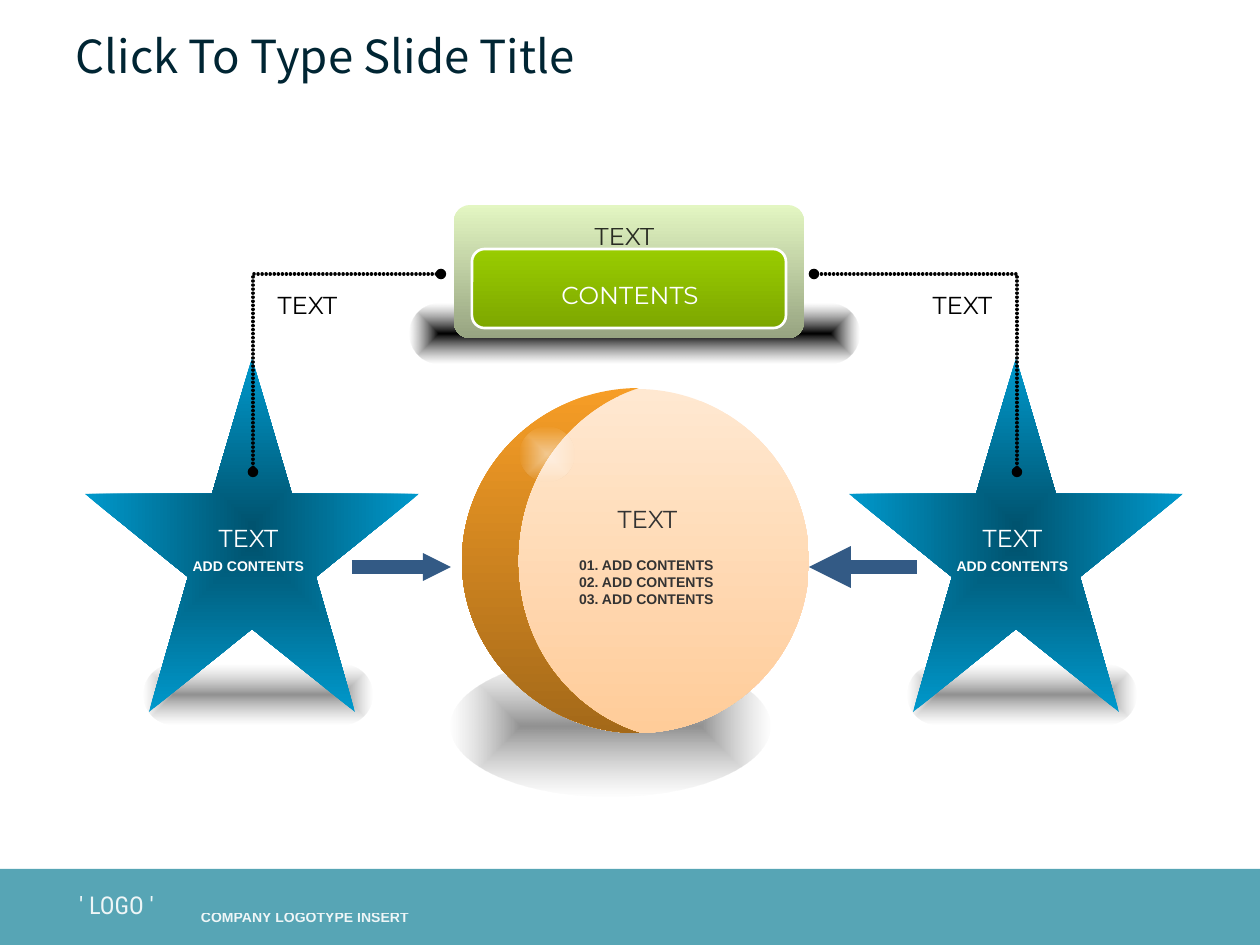
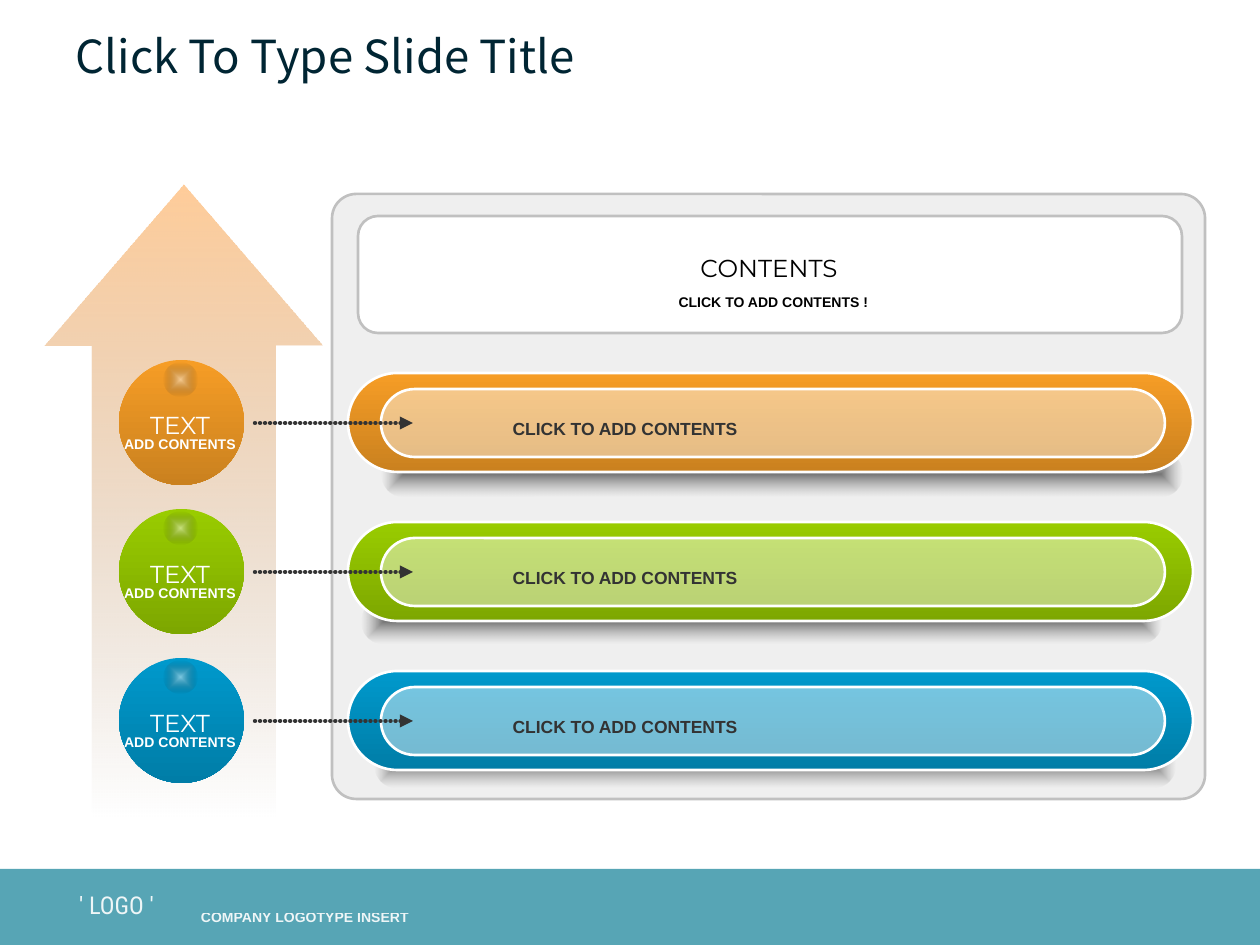
from dataclasses import dataclass

from lxml.etree import SubElement
from pptx import Presentation
from pptx.dml.color import RGBColor
from pptx.enum.shapes import MSO_CONNECTOR, MSO_SHAPE as Shape
from pptx.enum.text import MSO_ANCHOR as Anchor, PP_ALIGN as Align
from pptx.oxml import parse_xml
from pptx.oxml.ns import nsdecls, qn
from pptx.util import Emu, Pt

PX_PER_INCH = 126


def px(length):
    return Emu(round(length * 914400 / PX_PER_INCH))


@dataclass(frozen=True)
class Type:
    font: str
    size: int
    bold: bool = False


@dataclass(frozen=True)
class Theme:
    # Colours
    white: str = "FFFFFF"
    black: str = "000000"
    ink: str = "333333"
    title_ink: str = "002533"
    footer: str = "57A5B5"
    arrow: str = "335A85"
    silver: str = "C0C0C0"
    # Gradient pairs
    orange: tuple = ("F69D26", "CA811F")
    green: tuple = ("99CC00", "7DA700")
    blue: tuple = ("0099CC", "007DA7")
    pale_green: tuple = ("E3F6C2", "97A481")
    peach: tuple = ("FFE8D1", "FFCC99")
    crescent: tuple = ("F69D26", "A46919")
    star: tuple = ("00536F", "0099CC")
    rising: tuple = ("FF9933", "764718")
    shade: tuple = ("000000", "6C6C6C")
    # Type
    title: Type = Type("Noto Sans CJK KR", 26)
    logo: Type = Type("Roboto Condensed", 14)
    heading: Type = Type("Montserrat", 14)
    bar: Type = Type("Arial", 10, True)
    small: Type = Type("Arial", 8, True)


def colour_xml(colour, alpha=100):
    return f'<a:srgbClr val="{colour}"><a:alpha val="{alpha * 1000}"/></a:srgbClr>'


def solid(colour, alpha=100):
    return f'<a:solidFill {nsdecls("a")}>{colour_xml(colour, alpha)}</a:solidFill>'


def gradient(colours, alphas=(100, 100), from_centre=False):
    stops = "".join(
        f'<a:gs pos="{place}">{colour_xml(colour, alpha)}</a:gs>'
        for place, colour, alpha in zip((0, 100000), colours, alphas))
    if from_centre:
        course = ('<a:path path="rect"><a:fillToRect l="50000" t="50000" '
                  'r="50000" b="50000"/></a:path>')
    else:
        course = '<a:lin ang="5400000" scaled="0"/>'
    return (f'<a:gradFill {nsdecls("a")} rotWithShape="1">'
            f'<a:gsLst>{stops}</a:gsLst>{course}</a:gradFill>')


def bend(shape):
    """Turn each three straight segments of an outline into one cubic curve."""
    lines = list(shape._element.iter(qn("a:lnTo")))
    for first in range(0, len(lines), 3):
        trio = lines[first:first + 3]
        curve = parse_xml(f'<a:cubicBezTo {nsdecls("a")}/>')
        trio[0].addprevious(curve)
        for line in trio:
            curve.append(line[0])
            line.getparent().remove(line)


class Painter:
    def __init__(self, deck, theme):
        self.deck = deck
        self.theme = theme
        self.page = None

    # Page frame: title, footer band and footer words
    def new_page(self, title):
        theme = self.theme
        self.page = self.deck.slides.add_slide(self.deck.slide_layouts[6])
        self.shape(Shape.RECTANGLE, (0, 869, 1260, 76), solid(theme.footer))
        self.text("' LOGO '", (45, 884, 143, 35), theme.logo, theme.white, alpha=90)
        self.text("COMPANY LOGOTYPE INSERT", (189, 907, 232, 20),
                  theme.small, theme.white, alpha=90, pad=2)
        box = self.text(title, (63, 26, 1134, 58), theme.title, theme.title_ink,
                        side=13, align=Align.LEFT)
        box.text_frame.word_wrap = True
        box.text_frame.vertical_anchor = Anchor.MIDDLE

    def finish(self, shape, fill, line=None):
        shape.shadow.inherit = False
        shape.fill.background()
        if fill:
            props = shape._element.spPr
            props.replace(props.find(qn("a:noFill")), parse_xml(fill))
        if line:
            shape.line.color.rgb = RGBColor.from_string(line)
            shape.line.width = Pt(1.5)
        else:
            shape.line.fill.background()
        return shape

    def shape(self, kind, at, fill, line=None, adjust=()):
        shape = self.page.shapes.add_shape(kind, *map(px, at))
        for index, value in enumerate(adjust):
            shape.adjustments[index] = value
        return self.finish(shape, fill, line)

    def rounded(self, at, fill, line=None, corner=0.5):
        return self.shape(Shape.ROUNDED_RECTANGLE, at, fill, line, (corner,))

    def glow(self, kind, at, colours, alpha):
        fill = gradient(colours, (alpha, 0), from_centre=True)
        adjust = (0.5,) if kind == Shape.ROUNDED_RECTANGLE else ()
        return self.shape(kind, at, fill, adjust=adjust)

    def outline(self, points, fill=None, close=True):
        start, *rest = [(px(x), px(y)) for x, y in points]
        builder = self.page.shapes.build_freeform(*start)
        builder.add_line_segments(rest, close=close)
        return self.finish(builder.convert_to_shape(), fill)

    def stroke(self, shape, colour, width, dotted=False, head=None, tail=None, size="med"):
        shape.line.color.rgb = RGBColor.from_string(colour)
        shape.line.width = Pt(width)
        props = shape._element.spPr
        pen = props.find(qn("a:ln"))
        if dotted:
            pen.set("cap", "rnd")
            dash = SubElement(pen, qn("a:custDash"))
            SubElement(dash, qn("a:ds"), d="100000", sp="15000")
        for tag, end in (("a:headEnd", head), ("a:tailEnd", tail)):
            if end:
                SubElement(pen, qn(tag), type=end, w=size, len=size)
        if props.find(qn("a:effectLst")) is None:
            SubElement(props, qn("a:effectLst"))

    def arrow(self, x1, x2, y, colour, width, **ends):
        line = self.page.shapes.add_connector(
            MSO_CONNECTOR.STRAIGHT, px(x1), px(y), px(x2), px(y))
        self.stroke(line, colour, width, tail="triangle", **ends)

    def elbow(self, points):
        line = self.outline(points, close=False)
        self.stroke(line, self.theme.black, 2, dotted=True, head="oval", tail="oval")

    def text(self, words, at, style, colour, alpha=100, pad=6, side=0, align=Align.CENTER):
        box = self.page.shapes.add_textbox(*map(px, at))
        frame = box.text_frame
        frame.word_wrap = False
        frame.margin_top = frame.margin_bottom = px(pad)
        frame.margin_left = frame.margin_right = px(side)
        frame.text = words
        for para in frame.paragraphs:
            para.alignment = align
            for span in para.runs:
                font = span.font
                font.name, font.size, font.bold = style.font, Pt(style.size), style.bold
                font.color.rgb = RGBColor.from_string(colour)
                if alpha < 100:
                    value = span._r.rPr.find(".//" + qn("a:srgbClr"))
                    SubElement(value, qn("a:alpha"), val=str(alpha * 1000))
        return box


def draw_star(painter, axis):
    theme = painter.theme
    painter.glow(Shape.ROUNDED_RECTANGLE, (axis - 108, 665, 228, 60), theme.shade, 43)
    right = [(40, 494), (167, 494), (64, 577), (103, 712)]
    left = [(-x, y) for x, y in reversed(right)]
    points = [(0, 358), *right, (0, 629), *left]
    painter.outline([(axis + x, y) for x, y in points],
                    gradient(theme.star, from_centre=True))
    painter.text("TEXT", (axis - 55, 517, 103, 30), theme.heading, theme.white)
    painter.text("ADD CONTENTS", (axis - 73, 552, 139, 15), theme.small, theme.white)


def stars_page(painter):
    theme = painter.theme
    painter.new_page("Click To Type Slide Title")

    # Arrows towards the ball
    painter.arrow(917, 809, 567, theme.arrow, 8)
    painter.arrow(352, 451, 567, theme.arrow, 8, size="sm")

    # Green card
    painter.glow(Shape.ROUNDED_RECTANGLE, (410, 304, 449, 59), theme.shade, 100)
    painter.rounded((454, 205, 350, 133), gradient(theme.pale_green), corner=0.12)
    painter.rounded((472, 249, 314, 79), gradient(theme.green), theme.white, 0.16)
    painter.text("CONTENTS", (521, 274, 218, 30), theme.heading, theme.white)
    painter.text("TEXT", (580, 215, 89, 26), theme.heading, theme.black, alpha=80)

    # Ball with its crescent
    painter.glow(Shape.OVAL, (451, 656, 319, 141), theme.shade, 43)
    painter.shape(Shape.OVAL, (465, 389, 344, 344), gradient(theme.peach))
    top, inner, bottom, outer = (639, 388), (518, 561), (639, 733), (462, 561)
    crescent = [
        top,
        (578, 407), (518, 469), inner,
        (518, 653), (578, 714), bottom,
        (542, 733), (462, 655), outer,
        (462, 466), (542, 388), top,
    ]
    bend(painter.outline(crescent, gradient(theme.crescent)))
    painter.glow(Shape.OVAL, (520, 427, 54, 54), (theme.white, theme.white), 50)
    painter.text("TEXT", (577, 498, 141, 42), theme.heading, theme.ink)
    items = "\n".join(f"{number:02}. ADD CONTENTS" for number in (1, 2, 3))
    painter.text(items, (552, 551, 189, 71), theme.small, theme.ink)

    # Stars, each tied to the card
    for axis, card_side, label_left in ((252, 441, 263), (1016, 814, 918)):
        draw_star(painter, axis)
        painter.text("TEXT", (label_left, 284, 89, 26), theme.heading, theme.black)
        painter.elbow([(axis + 1, 472), (axis + 1, 274), (card_side, 274)])


def draw_row(painter, top, colours, shadow_left, shadow_drop):
    theme = painter.theme
    # Bar
    painter.glow(Shape.ROUNDED_RECTANGLE, (shadow_left, top + shadow_drop, 800, 44),
                 theme.shade, 50)
    painter.rounded((348, top, 845, 99), gradient(colours), theme.white)
    painter.rounded((381, top + 16, 784, 68), solid(theme.white, 46), theme.white)
    # Ball
    painter.shape(Shape.OVAL, (119, top - 13, 125, 125), gradient(colours))
    painter.glow(Shape.OVAL, (164, top - 10, 33, 33), (theme.white, theme.black), 50)
    painter.arrow(255, 413, top + 50, theme.ink, 2.5, dotted=True)
    # Words
    painter.text("TEXT", (139, top + 31, 82, 23), theme.heading, theme.white)
    painter.text("ADD CONTENTS", (120, top + 58, 120, 13), theme.small, theme.white, pad=5)
    painter.text("CLICK TO ADD CONTENTS", (456, top + 39, 338, 23), theme.bar, theme.ink)


def rising_page(painter):
    theme = painter.theme
    painter.new_page("Click To Type Slide Title")

    # Panel and rising arrow
    painter.rounded((332, 194, 873, 605), solid(theme.silver, 25), theme.silver, 0.04)
    painter.shape(Shape.UP_ARROW, (45, 185, 278, 635),
                  gradient(theme.rising, (50, 0)), adjust=(0.66, 0.58))

    # Rows
    rows = ((theme.orange, 382, 79), (theme.green, 362, 78), (theme.blue, 375, 72))
    for index, (colours, shadow_left, shadow_drop) in enumerate(rows):
        draw_row(painter, 373 + index * 149, colours, shadow_left, shadow_drop)

    # Header card
    painter.rounded((358, 216, 824, 117), solid(theme.white), theme.silver, 0.17)
    painter.text("CONTENTS", (650, 247, 238, 35), theme.heading, theme.black)
    painter.text("CLICK TO ADD CONTENTS !", (630, 287, 287, 19), theme.small, theme.black)


def main():
    deck = Presentation()
    deck.slide_width, deck.slide_height = px(1260), px(945)
    painter = Painter(deck, Theme())
    stars_page(painter)
    rising_page(painter)
    deck.save("out.pptx")


if __name__ == "__main__":
    main()
